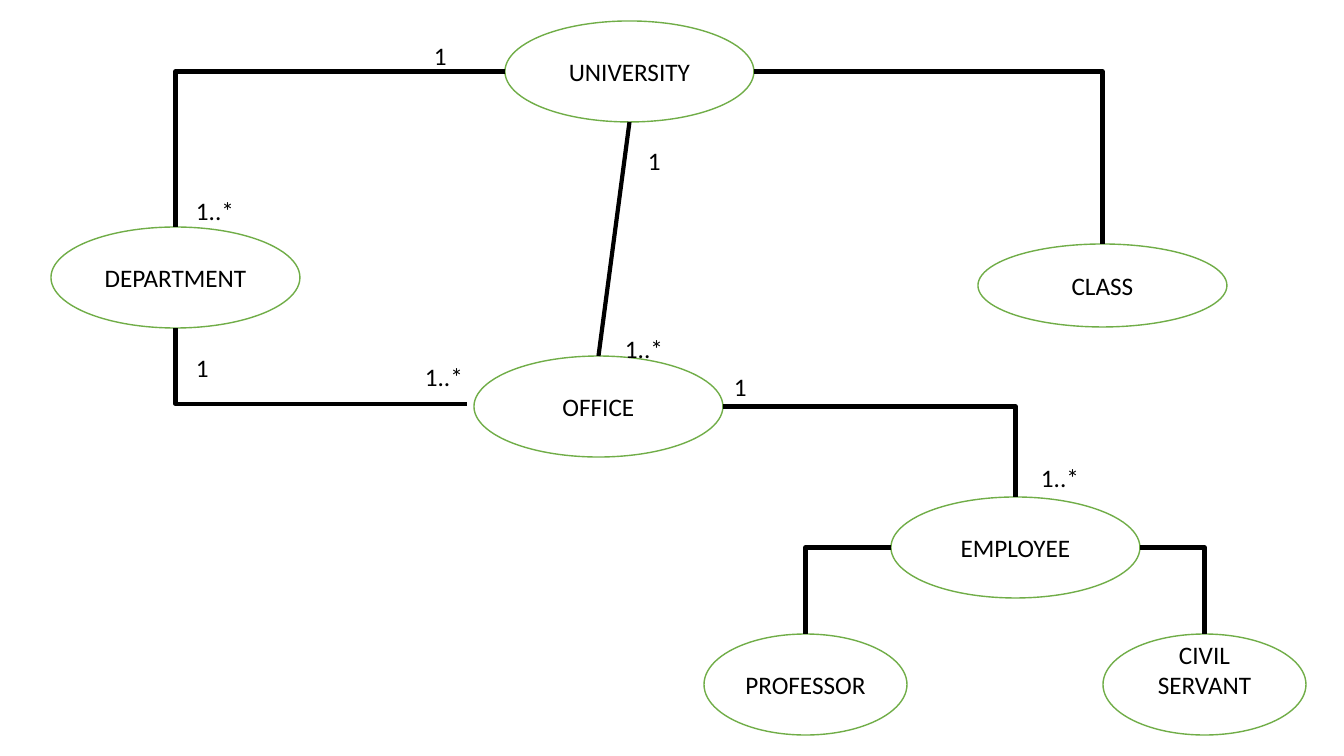
from pptx import Presentation
from pptx.dml.color import RGBColor
from pptx.enum.shapes import MSO_CONNECTOR, MSO_SHAPE
from pptx.enum.text import MSO_ANCHOR, PP_ALIGN
from pptx.oxml.ns import qn
from pptx.util import Pt
from lxml import etree

OVAL = MSO_SHAPE.OVAL
STRAIGHT, ELBOW = MSO_CONNECTOR.STRAIGHT, MSO_CONNECTOR.ELBOW
MIDDLE, CENTER = MSO_ANCHOR.MIDDLE, PP_ALIGN.CENTER
COLORS = {"fill": "FFFFFF", "outline": "70AD47", "ink": "000000"}
PX = 914400 / 100.8
ENTITIES = {
    "UNIVERSITY": (505, 21, 249, 101),
    "CLASS": (978, 244, 249, 83),
    "DEPARTMENT": (51, 227, 249, 101),
    "OFFICE": (474, 356, 249, 101),
    "CIVIL SERVANT": (1103, 634, 203, 101),
    "PROFESSOR": (704, 634, 203, 101),
    "EMPLOYEE": (891, 497, 249, 101),
}
ELBOWS = [
    ("UNIVERSITY", "left", "DEPARTMENT", "top"),
    ("UNIVERSITY", "right", "CLASS", "top"),
    ("OFFICE", "right", "EMPLOYEE", "top"),
    ("EMPLOYEE", "left", "PROFESSOR", "top"),
    ("EMPLOYEE", "right", "CIVIL SERVANT", "top"),
]
MULTIPLICITIES = [
    ("1", 424, 35, 81),
    ("1..*", 186, 190, 129),
    ("1", 186, 347, 58),
    ("1..*", 415, 356, 58),
    ("1", 638, 140, 77),
    ("1..*", 615, 328, 75),
    ("1", 724, 366, 58),
    ("1..*", 1031, 457, 82),
]


def emu(*pixels):
    return [round(n * PX) for n in pixels]


def rgb(name):
    return RGBColor.from_string(COLORS[name])


def write(tf, text):
    p = tf.paragraphs[0]
    p.text = text
    p.font.name, p.font.size = "Calibri", Pt(18)
    p.font.color.rgb = rgb("ink")
    return p


def add_entity(s, name, box):
    sp = s.shapes.add_shape(OVAL, *emu(*box))
    sp.shadow.inherit = False
    sp.fill.solid()
    sp.fill.fore_color.rgb = rgb("fill")
    sp.line.color.rgb = rgb("outline")
    sp.line.width = Pt(1)
    tf = sp.text_frame
    tf.word_wrap = True
    tf.vertical_anchor = MIDDLE
    write(tf, name).alignment = CENTER
    return sp


def side(name, edge):
    x, y, w, h = ENTITIES[name]
    return {
        "left": (x, y + h / 2),
        "right": (x + w, y + h / 2),
        "top": (x + w / 2, y),
        "bottom": (x + w / 2, y + h),
    }[edge]


def add_link(s, start, end, kind=ELBOW):
    c = s.shapes.add_connector(kind, *emu(*start, *end))
    c.line.color.rgb = rgb("ink")
    c.line.width = Pt(3)
    spPr = c._element.spPr
    etree.SubElement(spPr, qn("a:effectLst"))
    if kind == ELBOW:
        spPr.find(qn("a:prstGeom")).set("prst", "bentConnector2")


def add_multiplicity(s, text, x, y, w):
    tf = s.shapes.add_textbox(*emu(x, y, w, 40)).text_frame
    tf.word_wrap = True
    write(tf, text)


def main():
    """Build the entity diagram of a university and save it."""
    prs = Presentation()
    prs.slide_width, prs.slide_height = emu(1344, 756)
    s = prs.slides.add_slide(prs.slide_layouts[6])
    ovals = {name: add_entity(s, name, box) for name, box in ENTITIES.items()}
    ovals["CIVIL SERVANT"].text_frame.margin_bottom = emu(35)[0]
    for source, exit_edge, target, entry_edge in ELBOWS:
        add_link(s, side(source, exit_edge), side(target, entry_edge))
    add_link(s, (467, 404), side("DEPARTMENT", "bottom"))
    add_link(s, side("OFFICE", "top"), side("UNIVERSITY", "bottom"), STRAIGHT)
    for label in MULTIPLICITIES:
        add_multiplicity(s, *label)
    prs.save("out.pptx")


main()
